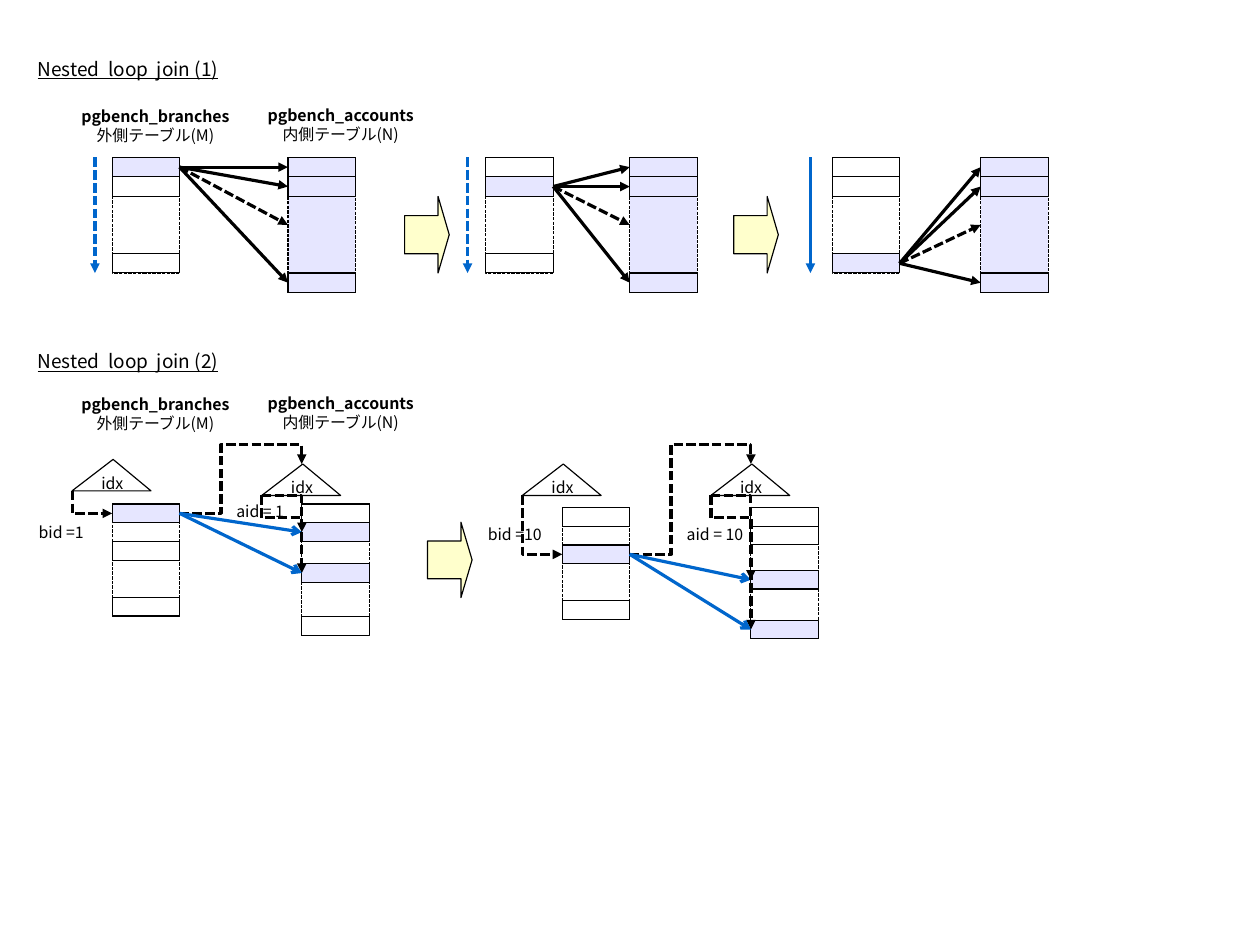
from pptx import Presentation
from pptx.dml.color import RGBColor
from pptx.enum import dml, shapes, text
from pptx.oxml.ns import qn
from pptx.util import Pt
from lxml import etree

# Content, all lengths in points
TITLES = [("Nested  loop  join (1)", 32.4), ("Nested  loop  join (2)", 216.7)]
HEADS = [("pgbench_branches", "外側テーブル(M)", 43.9, 108, 0.4),
         ("pgbench_accounts", "内側テーブル(N)", 161.3, 106.6, 0)]
HEAD_TOPS = [63, 244.4]
# Full scans: outer x, inner x, current outer row, scan arrow x, scan arrow dashed
SCANS = [(70.6, 181.4, 0, 59.8, True),
         (306, 396.7, 1, 294.5, True),
         (524.2, 617.8, 2, 510.5, False)]
# Index lookups: tables as (x, row offsets, current rows), index tops, long-path row
LOOKUPS = [
    dict(top=317.5, outer=(70.6, [0, 23.6, 58.8], [0]),
         inner=(190.1, [0, 11.8, 37.6, 71], [1, 2]), idx=(289.4, 292.3), shelf=0),
    dict(top=319.7, outer=(354.2, [0, 23.6, 58.8], [1]),
         inner=(473, [0, 11.8, 39.6, 71], [2, 3]), idx=(292.3, 292.3), shelf=1),
]
KEYS = [("bid =1", 17.3, 325.4, 43.9), ("bid =10", 300.2, 326.9, 49),
        ("aid = 1", 141.8, 312.5, 49), ("aid = 10", 425.5, 326.9, 53.3)]
STEPS = [(254.9, 123.8, 48.2), (462.2, 123.8, 48.2), (269.3, 329, 47.5)]

THEME = dict(font="Noto Sans CJK JP", ink="000000", shade="E6E6FF", step="FFFFCC",
             scan="0066CC", title=12, body=10)
TABLE_W, SCAN_TOP, SCAN_ROW, LOOKUP_ROW = 42.5, 99.2, 12.2, 11.8
IDX_W, IDX_H, IDX_SHIFT = 49.7, 19.8, 25.2
BUS_Y, SHELF_Y = 280.2, 326.2
# Elbow kinds: preset, quarter turned, flip
ELBOWS = {"hook": ("bentConnector2", True, "flipH"), "drop": ("bentConnector2", False, None),
          "shelf": ("bentConnector3", True, "flipH"), "bus": ("bentConnector4", False, "flipV")}

prs = Presentation()
prs.slide_width, prs.slide_height = Pt(793.7), Pt(595.3)
s = prs.slides.add_slide(prs.slide_layouts[6])


def color(name):
    return RGBColor.from_string(THEME[name])


def style_line(line, name="ink", dashed=False):
    line.color.rgb = color(name)
    line.width = Pt(0)
    if dashed:
        line.dash_style = dml.MSO_LINE.SQUARE_DOT


def shape(kind, x, y, w, h, fill=None, dashed=False):
    sp = s.shapes.add_shape(kind, Pt(x), Pt(y), Pt(w), Pt(h))
    sp.shadow.inherit = False
    if fill:
        sp.fill.solid()
        sp.fill.fore_color.rgb = color(fill)
    else:
        sp.fill.background()
    style_line(sp.line, dashed=dashed)
    return sp


def write(sp, lines, inset_y=3.6, centred=False, anchor=text.MSO_ANCHOR.TOP):
    tf = sp.text_frame
    frame = dict(word_wrap=False, vertical_anchor=anchor, margin_left=Pt(7.2),
                 margin_right=Pt(7.2), margin_top=Pt(inset_y), margin_bottom=Pt(inset_y))
    for key, value in frame.items():
        setattr(tf, key, value)
    for i, (words, size, fmt) in enumerate(lines):
        p = tf.paragraphs[0] if i == 0 else tf.add_paragraph()
        p.alignment = text.PP_ALIGN.CENTER if centred else text.PP_ALIGN.LEFT
        r = p.add_run()
        r.text = words
        for key, value in dict(name=THEME["font"], size=Pt(THEME[size]), **fmt).items():
            setattr(r.font, key, value)
        r.font.color.rgb = color("ink")
        etree.SubElement(r.font._element, qn("a:ea"), typeface=THEME["font"])


def label(x, y, w, h, lines, centred=False):
    sp = s.shapes.add_textbox(Pt(x), Pt(y), Pt(w), Pt(h))
    write(sp, lines, centred=centred)
    sp.text_frame.auto_size = text.MSO_AUTO_SIZE.SHAPE_TO_FIT_TEXT


def arrow(start, end, name="ink", dashed=False, head="triangle",
          kind=shapes.MSO_CONNECTOR.STRAIGHT):
    c = s.shapes.add_connector(kind, *(Pt(v) for v in (*start, *end)))
    style_line(c.line, name, dashed)
    etree.SubElement(c.line._get_or_add_ln(), qn("a:tailEnd"), type=head)
    etree.SubElement(c._element.spPr, qn("a:effectLst"))
    return c


def join(source, target, **look):
    c = arrow((0, 0), (1, 1), **look)
    c.begin_connect(source, 3)
    c.end_connect(target, 1)


def elbow(start, end, kind, *adjust):
    preset, turned, flip = ELBOWS[kind]
    c = arrow(start, end, dashed=True, kind=shapes.MSO_CONNECTOR.ELBOW)
    (x0, y0), (x1, y1) = start, end
    w, h = abs(x1 - x0), abs(y1 - y0)
    xfrm = c._element.spPr.find(qn("a:xfrm"))
    for key in ("flipH", "flipV"):
        xfrm.attrib.pop(key, None)
    if flip:
        xfrm.set(flip, "1")
    if turned:
        c.left, c.top = Pt((x0 + x1 - h) / 2), Pt((y0 + y1 - w) / 2)
        c.width, c.height = Pt(h), Pt(w)
        xfrm.set("rot", "16200000")
    geom = c._element.spPr.find(qn("a:prstGeom"))
    geom.set("prst", preset)
    guides = geom.find(qn("a:avLst"))
    for i, value in enumerate(adjust, 1):
        etree.SubElement(guides, qn("a:gd"), name=f"adj{i}", fmla=f"val {round(value * 100000)}")


def table(x, top, row_h, offsets, current, fill=None):
    rect = shapes.MSO_SHAPE.RECTANGLE
    body = shape(rect, x, top, TABLE_W, offsets[-1] + row_h, fill, dashed=True)
    rows = [shape(rect, x, top + dy, TABLE_W, row_h, "shade" if i in current else None)
            for i, dy in enumerate(offsets)]
    return body, rows


# Titles and table headings
for words, y in TITLES:
    label(16.6, y, 195.8, 23.8, [(words, "title", dict(underline=True))])
for y in HEAD_TOPS:
    for name, role, x, w, dy in HEADS:
        label(x, y + dy, w, 35.3, [(name, "body", dict(bold=True)),
                                   (role, "body", dict(bold=False))], centred=True)

# Full scans: each outer row visits every inner row
for outer_x, inner_x, now, scan_x, dashed in SCANS:
    _, outer = table(outer_x, SCAN_TOP, SCAN_ROW, [0, SCAN_ROW, 60.6], [now])
    body, inner = table(inner_x, SCAN_TOP, SCAN_ROW, [0, SCAN_ROW, 72.8], [0, 1, 2], "shade")
    for row in inner:
        join(outer[now], row)
    join(outer[now], body, dashed=True)
    arrow((scan_x, SCAN_TOP), (scan_x, SCAN_TOP + 72.8), "scan", dashed)

# Index lookups: the indexes lead to the matching rows
for look in LOOKUPS:
    top, mid = look["top"], look["top"] + LOOKUP_ROW / 2
    (outer_x, outer_dy, (now,)), (inner_x, inner_dy, hits) = look["outer"], look["inner"]
    _, outer = table(outer_x, top, LOOKUP_ROW, outer_dy, [now])
    _, inner = table(inner_x, top, LOOKUP_ROW, inner_dy, hits)
    for x, y in zip((outer_x, inner_x), look["idx"]):
        sp = shape(shapes.MSO_SHAPE.ISOSCELES_TRIANGLE, x - IDX_SHIFT, y, IDX_W, IDX_H)
        sp.adjustments[0] = 0.52
        write(sp, [("idx", "body", {})], 2.9, True, text.MSO_ANCHOR.MIDDLE)
    outer_idx, inner_idx = look["idx"]
    now_y = mid + outer_dy[now]
    elbow((outer_x - IDX_SHIFT, outer_idx + IDX_H), (outer_x, now_y), "hook")
    elbow((outer_x + TABLE_W, now_y), (inner_x, inner_idx), "bus",
          0.34, (now_y - BUS_Y) / (now_y - inner_idx))
    base_y = inner_idx + IDX_H
    for i, hit in enumerate(hits):
        hit_y = mid + inner_dy[hit]
        shelf = i == look["shelf"]
        elbow((inner_x - IDX_SHIFT, base_y), (inner_x, hit_y), "shelf" if shelf else "drop",
              *([(SHELF_Y - base_y) / (hit_y - base_y)] if shelf else []))
        join(outer[now], inner[hit], name="scan", head="arrow")

# Key values and step arrows
for words, x, y, w in KEYS:
    label(x, y, w, 20.9, [(words, "body", {})])
for x, y, h in STEPS:
    sp = shape(shapes.MSO_SHAPE.RIGHT_ARROW, x, y, 28.1, h, "step")
    sp.adjustments[0], sp.adjustments[1] = 0.5, 0.25

prs.save("out.pptx")
